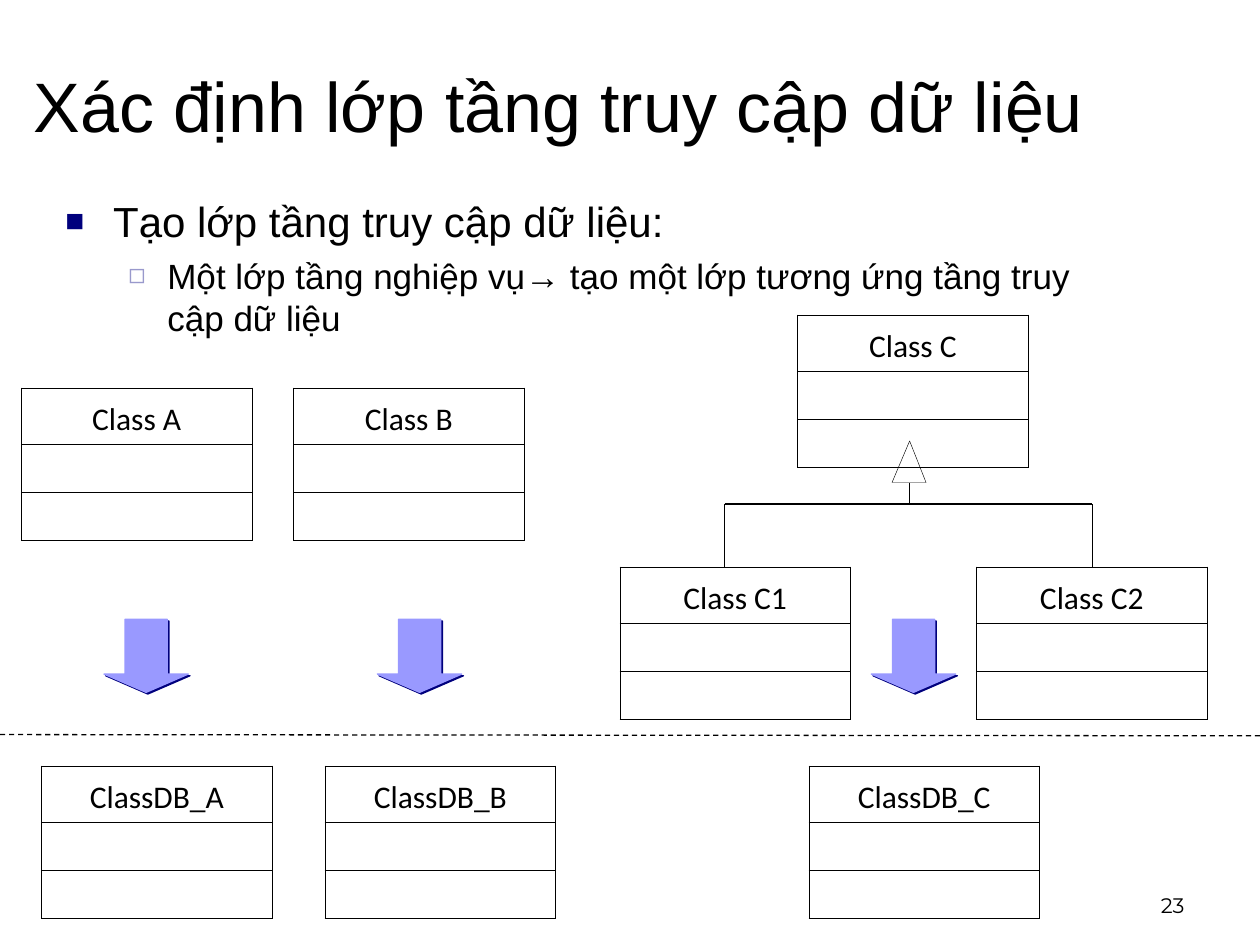
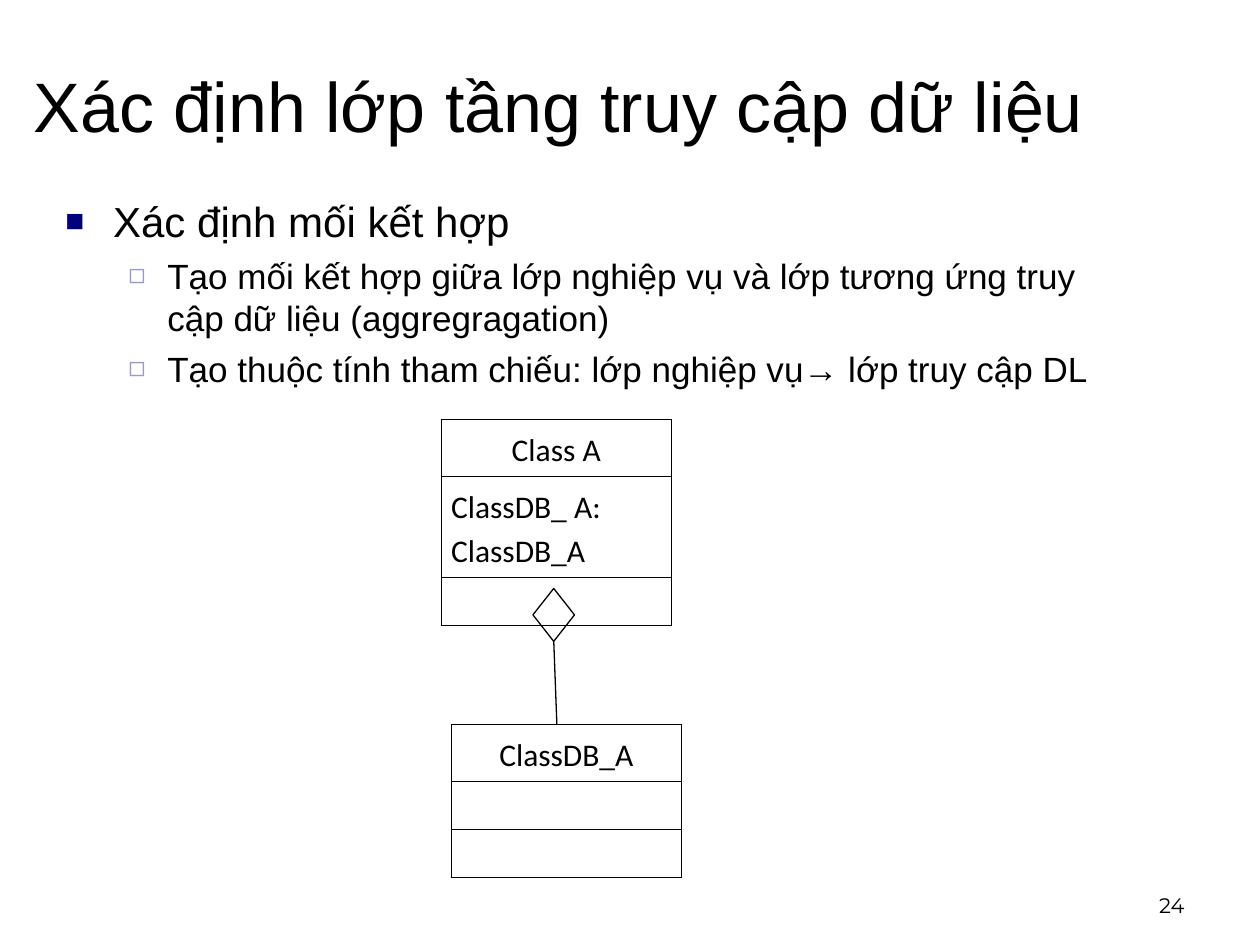
from lxml import etree
from pptx import Presentation
from pptx.dml.color import RGBColor
from pptx.enum.dml import MSO_LINE
from pptx.enum.shapes import MSO_CONNECTOR, MSO_SHAPE
from pptx.enum.text import MSO_ANCHOR, PP_ALIGN
from pptx.oxml import parse_xml
from pptx.oxml.ns import qn
from pptx.util import Inches, Pt

STRAIGHT = MSO_CONNECTOR.STRAIGHT
ARROW, DIAMOND = MSO_SHAPE.RIGHT_ARROW, MSO_SHAPE.FLOWCHART_DECISION
DASH = MSO_LINE.DASH
TOP, MIDDLE, BOTTOM = MSO_ANCHOR.TOP, MSO_ANCHOR.MIDDLE, MSO_ANCHOR.BOTTOM
LEFT, CENTER, RIGHT = PP_ALIGN.LEFT, PP_ALIGN.CENTER, PP_ALIGN.RIGHT

BLACK = RGBColor(0x00, 0x00, 0x00)
WHITE = RGBColor(0xFF, 0xFF, 0xFF)
NAVY = RGBColor(0x00, 0x00, 0x7D)
LAVENDER = RGBColor(0x99, 0x99, 0xCC)
PERIWINKLE = RGBColor(0x99, 0x99, 0xFF)

BODY_FONT, CLASS_FONT, NUMBER_FONT = "Arial", "Calibri", "Montserrat"
TITLE = "Xác định lớp tầng truy cập dữ liệu"
NS = 'xmlns:a="http://schemas.openxmlformats.org/drawingml/2006/main"'
CLASS_WIDTH, NAME_HEIGHT, ROW_HEIGHT = 1.83, 0.45, 0.38
LEVELS = [("■", NAVY, 75, 0.38, 0.38, 0, 24), ("◻", LAVENDER, 80, 0.81, 0.31, 5, 20)]


def add_run(p, text, size, font):
    """Append one black run."""
    r = p.add_run()
    r.text = text
    r.font.size, r.font.name = Pt(size), font
    r.font.color.rgb = BLACK


def add_text_box(s, left, top, width, height, anchor):
    """Add a wrapping text box and return its text frame."""
    tf = s.shapes.add_textbox(Inches(left), Inches(top), Inches(width), Inches(height)).text_frame
    tf.word_wrap, tf.vertical_anchor = True, anchor
    return tf


def add_bullets(s, items):
    """Add the body list from (level, text) pairs."""
    tf = add_text_box(s, 0.42, 1.5, 8.5, 5.25, TOP)
    for i, (level, text) in enumerate(items):
        p = tf.add_paragraph() if i else tf.paragraphs[0]
        char, color, percent, margin, hang, before, size = LEVELS[level]
        p.level = level
        pPr = p._p.get_or_add_pPr()
        pPr.set("marL", str(Inches(margin)))
        pPr.set("indent", str(-Inches(hang)))
        for xml in (f'<a:buClr {NS}><a:srgbClr val="{color}"/></a:buClr>',
                    f'<a:buSzPct {NS} val="{percent * 1000}"/>',
                    f'<a:buFont {NS} typeface="{BODY_FONT}"/>',
                    f'<a:buChar {NS} char="{char}"/>'):
            pPr.append(parse_xml(xml))
        p.space_before = Pt(before)
        add_run(p, text, size, BODY_FONT)


def add_base_slide(prs, number, items):
    """Add a slide with its number, list and title."""
    s = prs.slides.add_slide(prs.slide_layouts[6])
    p = add_text_box(s, 7.17, 6.83, 2.33, 0.5, BOTTOM).paragraphs[0]
    p.alignment = RIGHT
    add_run(p, str(number), 12, NUMBER_FONT)
    add_bullets(s, items)
    add_run(add_text_box(s, 0.17, 0.08, 10, 1.5, MIDDLE).paragraphs[0], TITLE, 40, BODY_FONT)
    return s


def style_cell(cell, text, align):
    """Give a class cell clear fill, thin borders and optional text."""
    cell.fill.background()
    tcPr = cell._tc.get_or_add_tcPr()
    for i, side in enumerate(("lnL", "lnR", "lnT", "lnB")):
        tcPr.insert(i, parse_xml(
            f'<a:{side} {NS} w="{Pt(0.45)}"><a:solidFill><a:srgbClr val="{BLACK}"/>'
            f'</a:solidFill></a:{side}>'))
    cell.margin_left = cell.margin_right = Inches(0.08)
    cell.margin_top = cell.margin_bottom = Inches(0.05 if text else 0.02)
    if text:
        p = cell.text_frame.paragraphs[0]
        p.alignment, p.line_spacing = align, 1.15
        add_run(p, text, 18, CLASS_FONT)


def add_class(s, name, left, top, attribute="", attribute_height=ROW_HEIGHT):
    """Add a UML class as a table of name, attributes and methods."""
    heights = [NAME_HEIGHT, attribute_height, ROW_HEIGHT]
    table = s.shapes.add_table(3, 1, Inches(left), Inches(top),
                               Inches(CLASS_WIDTH), Inches(sum(heights))).table
    table.first_row = table.horz_banding = False
    rows = zip(heights, (name, attribute, ""), (CENTER, LEFT, LEFT))
    for i, (height, text, align) in enumerate(rows):
        table.rows[i].height = Inches(height)
        style_cell(table.cell(i, 0), text, align)


def add_line(s, x1, y1, x2, y2):
    """Add a thin black straight line."""
    line = s.shapes.add_connector(STRAIGHT, Inches(x1), Inches(y1), Inches(x2), Inches(y2))
    line.line.color.rgb, line.line.width = BLACK, Pt(0.75)
    etree.SubElement(line._element.spPr, qn("a:effectLst"))
    return line


def add_down_arrow(s, left):
    """Add a downward block arrow with a hard navy shadow."""
    sp = s.shapes.add_shape(ARROW, Inches(left), Inches(4.87), Inches(0.58), Inches(0.67))
    sp.rotation = 90
    sp.adjustments[0], sp.adjustments[1] = 0.5, 0.25
    sp.fill.solid()
    sp.fill.fore_color.rgb = sp.line.color.rgb = PERIWINKLE
    sp.line.width = Pt(0.75)
    sp._element.spPr.append(parse_xml(
        f'<a:effectLst {NS}><a:outerShdw dist="{Pt(1.4)}" dir="2700000" algn="ctr" '
        f'rotWithShape="0"><a:srgbClr val="{NAVY}"/></a:outerShdw></a:effectLst>'))


def add_inheritance(s):
    """Draw the hollow triangle and the branches to both subclasses."""
    builder = s.shapes.build_freeform(Inches(7.22), Inches(3.5))
    builder.add_line_segments([(Inches(7.35), Inches(3.83)), (Inches(7.08), Inches(3.83))])
    sp = builder.convert_to_shape()
    sp.shadow.inherit = False
    sp.fill.solid()
    sp.fill.fore_color.rgb = WHITE
    sp.line.color.rgb, sp.line.width = BLACK, Pt(0.25)
    add_line(s, 7.22, 3.83, 7.22, 4)
    for x in (5.75, 8.67):
        add_line(s, x, 4, x, 4.5)
    add_line(s, 5.75, 4, 8.67, 4)


def add_aggregation(s):
    """Draw the hollow diamond and its line to the data class."""
    sp = s.shapes.add_shape(DIAMOND, Inches(4.23), Inches(4.67), Inches(0.33), Inches(0.42))
    sp.shadow.inherit = False
    sp.fill.background()
    sp.line.color.rgb, sp.line.width = BLACK, Pt(0.75)
    add_line(s, 4.39, 5.08, 4.42, 5.75).begin_connect(sp, 2)


def build_class_mapping(prs):
    """Build the slide mapping business classes to data classes."""
    s = add_base_slide(prs, 23, [
        (0, "Tạo lớp tầng truy cập dữ liệu:"),
        (1, "Một lớp tầng nghiệp vụ→ tạo một lớp tương ứng tầng truy cập dữ liệu")])
    add_inheritance(s)
    for name, left, top in (("Class A", 0.17, 3.08), ("Class B", 2.33, 3.08),
                            ("Class C1", 4.92, 4.5), ("Class C2", 7.75, 4.5),
                            ("Class C", 6.33, 2.5), ("ClassDB_A", 0.33, 6.08),
                            ("ClassDB_B", 2.58, 6.08), ("ClassDB_C", 6.42, 6.08)):
        add_class(s, name, left, top)
    for left in (0.87, 3.04, 6.96):
        add_down_arrow(s, left)
    add_line(s, 0, 5.83, 10, 5.84).line.dash_style = DASH


def build_association(prs):
    """Build the slide on the association between the two layers."""
    s = add_base_slide(prs, 24, [
        (0, "Xác định mối kết hợp"),
        (1, "Tạo mối kết hợp giữa lớp nghiệp vụ và lớp tương ứng truy cập dữ liệu "
            "(aggregragation)"),
        (1, "Tạo thuộc tính tham chiếu: lớp nghiệp vụ→ lớp truy cập DL")])
    add_class(s, "Class A", 3.5, 3.33, "ClassDB_ A: ClassDB_A", 0.8)
    add_class(s, "ClassDB_A", 3.58, 5.75)
    add_aggregation(s)


def main():
    """Build both slides and save the deck."""
    prs = Presentation()
    prs.slide_width, prs.slide_height = Inches(10), Inches(7.5)
    build_class_mapping(prs)
    build_association(prs)
    prs.save("out.pptx")


if __name__ == "__main__":
    main()
